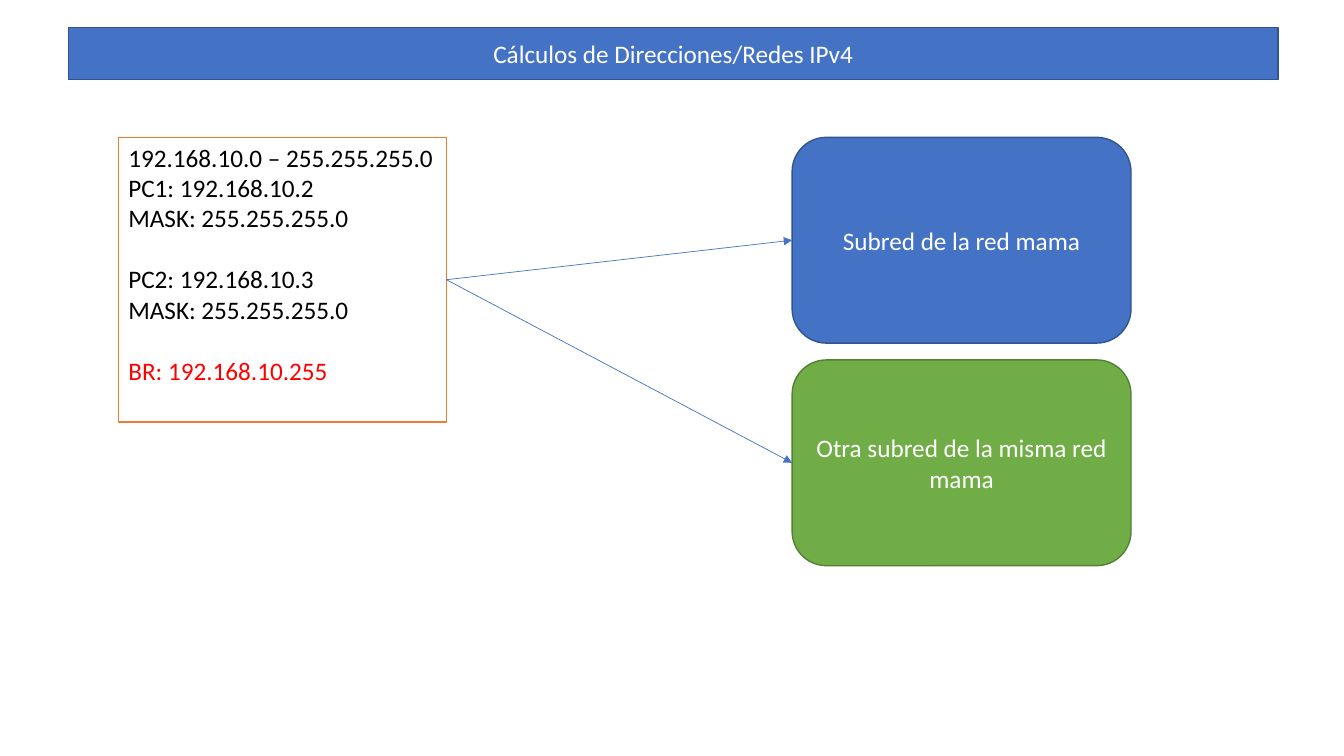
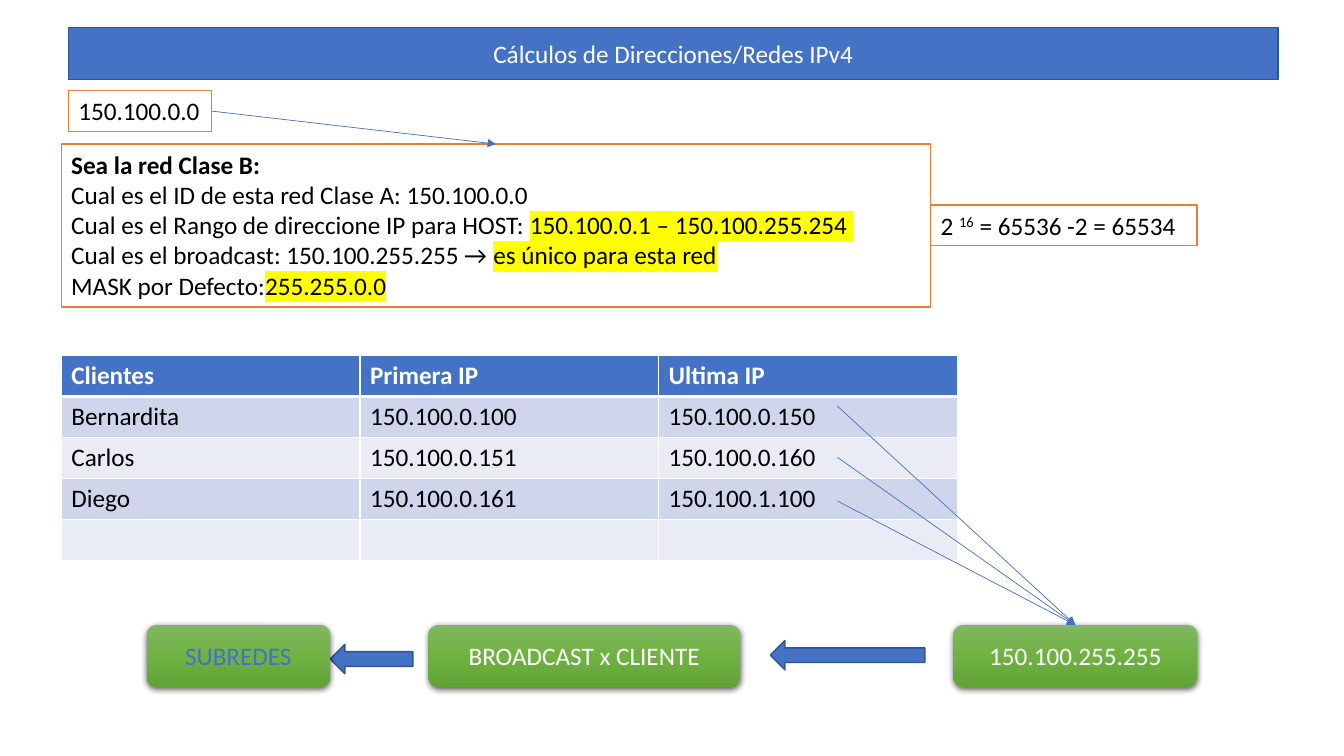
"""Builds two slides on IPv4 address and network calculations."""
from pptx import Presentation, util as u
from pptx.dml.color import RGBColor
from pptx.enum import shapes, text
from pptx.oxml import parse_xml
from pptx.oxml.ns import nsdecls, qn

BLUE = RGBColor(0x44, 0x72, 0xC4)
BLUE_EDGE = RGBColor(0x32, 0x54, 0x91)
GREEN = RGBColor(0x70, 0xAD, 0x47)
GREEN_EDGE = RGBColor(0x53, 0x80, 0x35)
GREEN_SHADES = {0: RGBColor(0x81, 0xB8, 0x61), 50: RGBColor(0x6F, 0xB2, 0x42),
                100: RGBColor(0x62, 0xA3, 0x36)}
ORANGE = RGBColor(0xED, 0x7D, 0x31)
BANDS = RGBColor(0xE9, 0xEB, 0xF5), RGBColor(0xCF, 0xD5, 0xEA)
RED = RGBColor(0xFF, 0, 0)
YELLOW = RGBColor(0xFF, 0xFF, 0)
WHITE = RGBColor(0xFF, 0xFF, 0xFF)
BLACK = RGBColor(0, 0, 0)

TOPIC = "Cálculos de Direcciones/Redes IPv4"
FONT, SIZE, LINE_HEIGHT = "Calibri", 18, 22
COLUMNS, ROWS = 160, 90
CELL = u.Inches(1) // 12


def grid(*lengths):
    return [round(length * CELL) for length in lengths]


def xml(body):
    return parse_xml(body.replace(" ", f" {nsdecls('a')} ", 1))


class Deck:
    """Holds the shared style and the current slide."""

    def __init__(self):
        self.prs = Presentation()
        self.prs.slide_width, self.prs.slide_height = grid(COLUMNS, ROWS)
        self.slide = None

    def start(self, topic):
        self.slide = self.prs.slides.add_slide(self.prs.slide_layouts[5])
        bar = self.slide.shapes.title
        bar.left, bar.top, bar.width, bar.height = grid(8.15, 3.3, 144, 6.15)
        bar._element.spPr.append(xml('<a:prstGeom prst="roundRect"><a:avLst/></a:prstGeom>'))
        self.paint(bar, BLUE, BLUE_EDGE)
        self.label(bar, topic)

    def paint(self, shape, fill, edge):
        shape.fill.solid()
        shape.fill.fore_color.rgb = fill
        shape.line.color.rgb = edge
        shape.line.width = u.Pt(1)

    def style(self, run, color=BLACK, bold=False, marked=False, raised=False):
        run.font.size, run.font.name, run.font.bold = u.Pt(SIZE), FONT, bold
        run.font.color.rgb = color
        properties = run.font._element
        if marked:
            properties.find(qn("a:solidFill")).addnext(
                xml(f'<a:highlight ><a:srgbClr val="{YELLOW}"/></a:highlight>'))
        if raised:
            properties.set("baseline", "30000")

    def label(self, shape, caption, color=WHITE):
        frame = shape.text_frame
        frame.text = caption
        frame.word_wrap, frame.auto_size = True, text.MSO_AUTO_SIZE.NONE
        frame.vertical_anchor = text.MSO_ANCHOR.MIDDLE
        frame.paragraphs[0].alignment = text.PP_ALIGN.CENTER
        self.style(frame.paragraphs[0].runs[0], color)

    def shape(self, kind, box, fill=BLUE, edge=BLUE_EDGE):
        shape = self.slide.shapes.add_shape(kind, *grid(*box))
        shape.shadow.inherit = False
        self.paint(shape, fill, edge)
        return shape

    def card(self, box, caption, fill, edge):
        card = self.shape(shapes.MSO_SHAPE.ROUNDED_RECTANGLE, box, fill, edge)
        self.label(card, caption)
        return card

    def glossy(self, box, caption, color=WHITE):
        card = self.card(box, caption, GREEN, GREEN_EDGE)
        self.label(card, caption, color)
        card.line.fill.background()
        stops = "".join(f'<a:gs pos="{share * 1000}"><a:srgbClr val="{shade}"/></a:gs>'
                        for share, shade in GREEN_SHADES.items())
        properties = card._element.spPr
        properties.replace(properties.find(qn("a:solidFill")), xml(
            f'<a:gradFill rotWithShape="1"><a:gsLst>{stops}</a:gsLst>'
            '<a:lin ang="5400000" scaled="0"/></a:gradFill>'))
        properties.find(qn("a:effectLst")).append(xml(
            '<a:outerShdw blurRad="57150" dist="19050" dir="5400000" algn="ctr" rotWithShape="0">'
            f'<a:srgbClr val="{BLACK}"><a:alpha val="63000"/></a:srgbClr></a:outerShdw>'))
        return card

    def note(self, box, paragraphs, gaps=()):
        note = self.shape(shapes.MSO_SHAPE.RECTANGLE, box, WHITE, ORANGE)
        frame = note.text_frame
        frame.word_wrap, frame.margin_right = True, 0
        frame.vertical_anchor = text.MSO_ANCHOR.TOP
        for index, pieces in enumerate(paragraphs):
            paragraph = frame.add_paragraph() if index else frame.paragraphs[0]
            paragraph.alignment = text.PP_ALIGN.LEFT
            if index in gaps:
                paragraph.space_before = u.Pt(LINE_HEIGHT)
            for words, look in pieces:
                run = paragraph.add_run()
                run.text = words
                self.style(run, **look)
        return note

    def arrow(self, target, side, source=None, start=(0, 0)):
        arrow = self.slide.shapes.add_connector(
            shapes.MSO_CONNECTOR.STRAIGHT, *grid(*start, *start))
        if source is not None:
            arrow.begin_connect(source, 3)
        arrow.end_connect(target, side)
        arrow.line.color.rgb = BLUE
        arrow.line.width = u.Pt(0.5)
        arrow.line._get_or_add_ln().append(xml('<a:tailEnd type="triangle"/>'))
        arrow._element.spPr.append(xml("<a:effectLst />"))

    def table(self, box, rows):
        table = self.slide.shapes.add_table(len(rows), len(rows[0]), *grid(*box)).table
        for r, row in enumerate(rows):
            for c, words in enumerate(row):
                cell = table.cell(r, c)
                cell.text = words
                for run in cell.text_frame.paragraphs[0].runs:
                    self.style(run, BLACK if r else WHITE, bold=r == 0)
                properties = cell._tc.get_or_add_tcPr()
                for side in "LRTB":
                    heavy = (r, side) in ((0, "B"), (1, "T"))
                    properties.append(xml(
                        f'<a:ln{side} w="{u.Pt(3 if heavy else 1)}"><a:solidFill>'
                        f'<a:srgbClr val="{WHITE}"/></a:solidFill></a:ln{side}>'))
                cell.fill.solid()
                cell.fill.fore_color.rgb = BANDS[r % 2] if r else BLUE


def subnets(deck):
    deck.start(TOPIC)
    lines = ["192.168.10.0 – 255.255.255.0", "PC1: 192.168.10.2", "MASK: 255.255.255.0",
             "PC2: 192.168.10.3", "MASK: 255.255.255.0"]
    addresses = deck.note(
        (14.1, 16.35, 39.05, 33.9),
        [[(line, {})] for line in lines] + [[("BR: 192.168.10.255", {"color": RED})]],
        gaps=(3, 5))
    branches = [("Subred de la red mama", BLUE, BLUE_EDGE),
                ("Otra subred de la misma red mama", GREEN, GREEN_EDGE)]
    for index, (caption, fill, edge) in enumerate(branches):
        subnet = deck.card((94.3, 16.35 + 26.5 * index, 40.35, 24.5), caption, fill, edge)
        deck.arrow(subnet, 1, addresses)


def class_b(deck):
    deck.start(TOPIC)
    marked = {"marked": True}
    network = deck.note((8.15, 10.8, 17.05, 4.85), [[("150.100.0.0", {})]])
    answers = deck.note((7.3, 17.15, 103.5, 19.4), [
        [("Sea la red Clase B:", {"bold": True})],
        [("Cual es el ID de esta red Clase A: 150.100.0.0", {})],
        [("Cual es el Rango de direccione IP para HOST: ", {}),
         ("150.100.0.1 – 150.100.255.254 ", marked)],
        [("Cual es el broadcast: 150.100.255.255 → ", {}), ("es único para esta red", marked)],
        [("MASK por Defecto:", {}), ("255.255.0.0", marked)]])
    deck.arrow(answers, 0, network)
    deck.table((7.3, 42.35, 106.68, 24.35), [
        ("Clientes", "Primera IP", "Ultima IP"),
        ("Bernardita", "150.100.0.100", "150.100.0.150"),
        ("Carlos", "150.100.0.151", "150.100.0.160"),
        ("Diego", "150.100.0.161", "150.100.1.100"),
        ("", "", "")])
    deck.note((110.8, 24.4, 31.7, 4.85), [
        [("2 ", {}), ("16", {"raised": True}), (" = 65536 -2 = 65534", {})]])

    top, height = 74.4, 7.35
    broadcast = deck.glossy((113.5, top, 29.05, height), "150.100.255.255")
    for last_ip in (48.35, 54.45, 59.65):
        deck.arrow(broadcast, 0, start=(99.7, last_ip))
    deck.glossy((51, top, 37.1, height), "BROADCAST x CLIENTE")
    for box in ((91.7, 76.25, 18.4, 3.5), (39.3, 76.7, 9.85, 3.5)):
        deck.shape(shapes.MSO_SHAPE.LEFT_ARROW, box)
    deck.glossy((17.45, top, 21.85, height), "SUBREDES", BLUE)


def main():
    deck = Deck()
    subnets(deck)
    class_b(deck)
    deck.prs.save("out.pptx")


if __name__ == "__main__":
    main()
